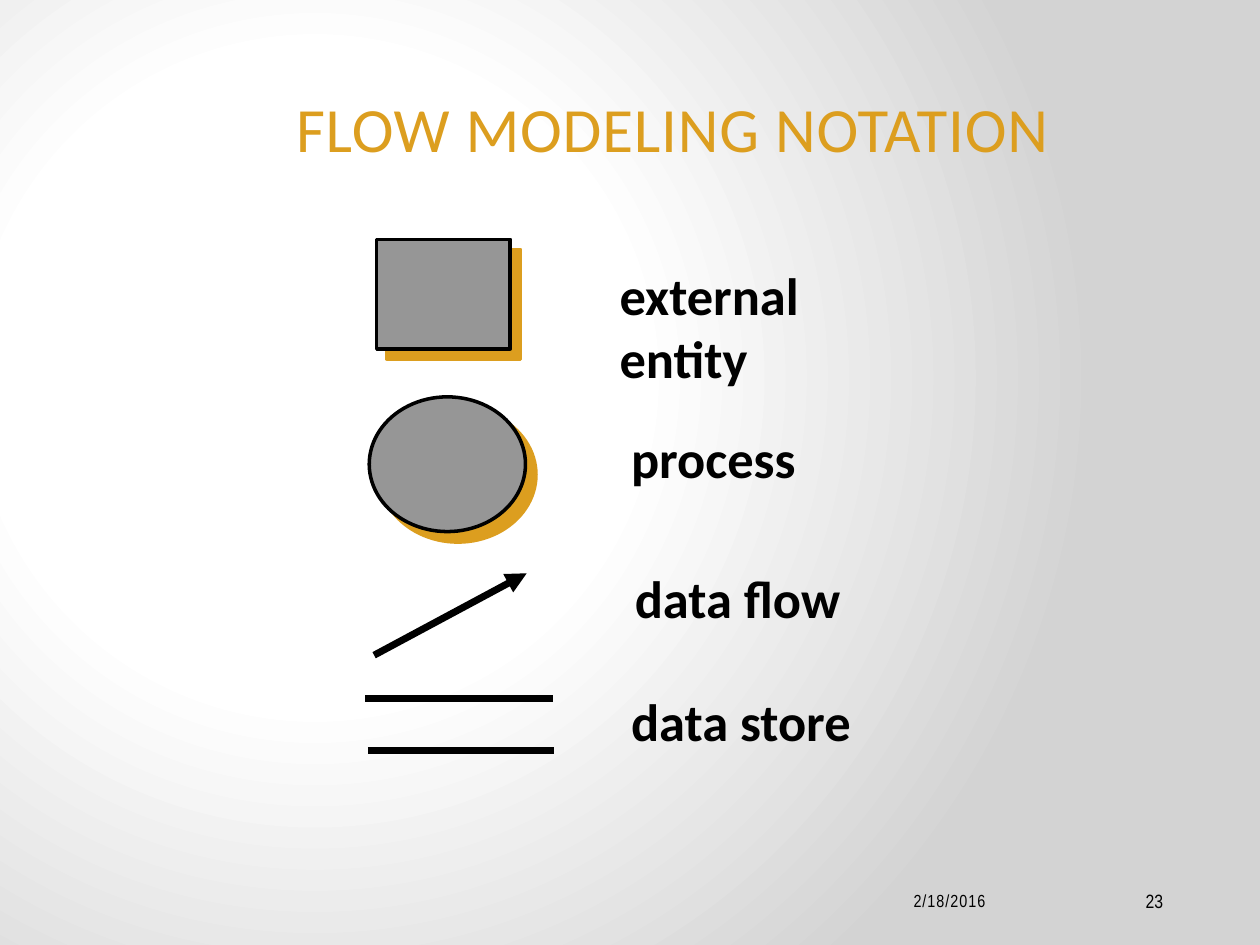
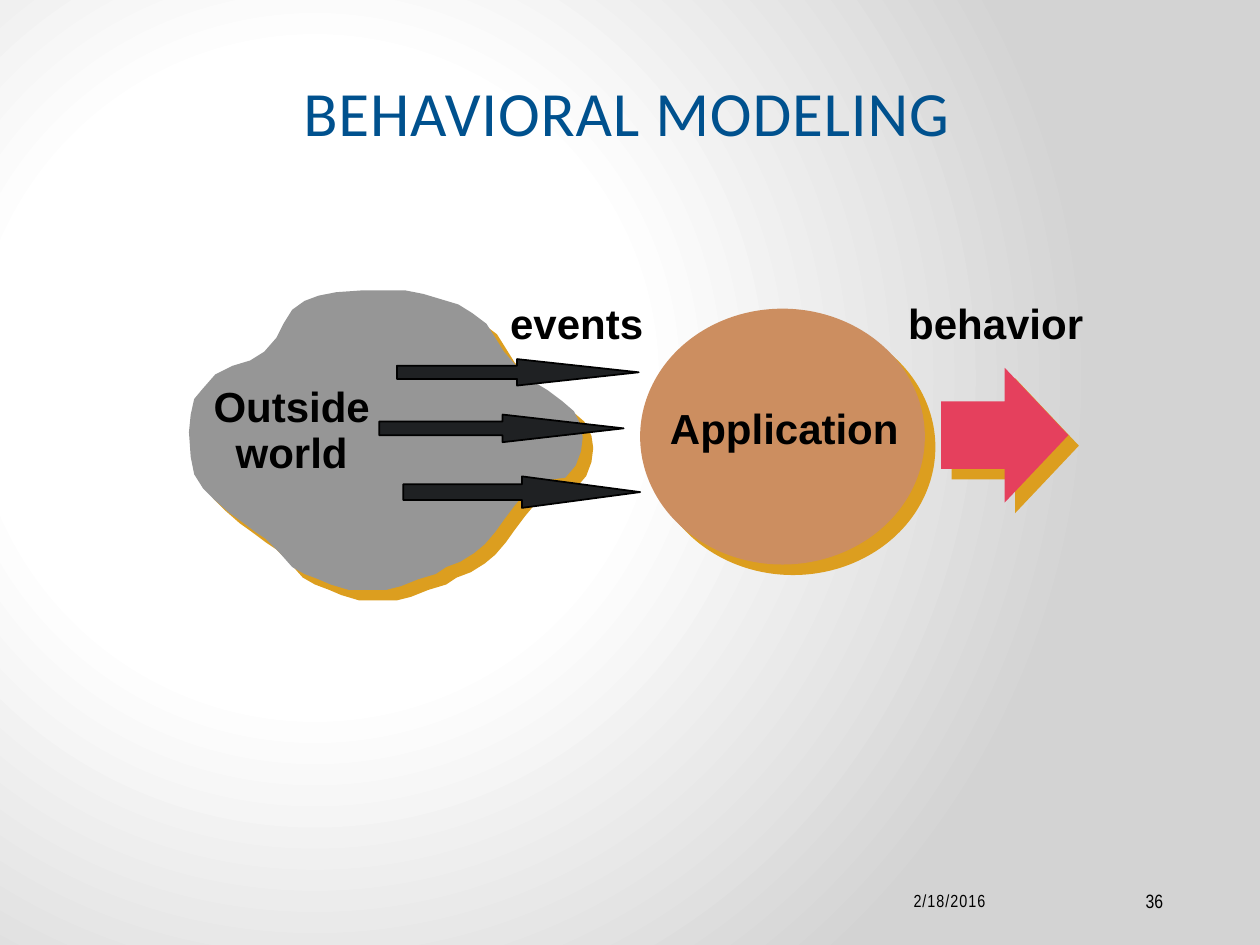
from dataclasses import dataclass

from lxml.etree import SubElement
from pptx import Presentation
from pptx.dml.color import RGBColor
from pptx.enum.shapes import MSO_CONNECTOR as Connector, MSO_SHAPE as Shape
from pptx.enum.text import MSO_ANCHOR as Anchor, PP_ALIGN as Align
from pptx.oxml import parse_xml
from pptx.oxml.ns import nsdecls, qn
from pptx.util import Pt


@dataclass(frozen=True)
class Theme:
    black: str = "000000"
    gold: str = "DC9E1F"
    blue: str = "00518E"
    gray: str = "969696"
    charcoal: str = "1F2123"
    tan: str = "CC8E60"
    red: str = "E5405D"
    background_stops: tuple = ((0, "FFFFFF"), (41, "FFFFFF"), (100, "D3D3D3"))
    title_size: float = 36
    notation_size: float = 30
    diagram_size: float = 24
    date_size: float = 10
    number_size: float = 11
    body_font: str = "Calibri"
    diagram_font: str = "Arial"
    footer_font: str = "Arial Narrow"
    shadow_distance: float = 8.5


THEME = Theme()

CLOUD_OUTLINE = [
    (206, 166), (192, 167), (182, 169), (174, 172), (167, 177), (162, 185),
    (158, 193), (151, 201), (143, 206), (133, 209), (123, 214), (116, 222),
    (111, 228), (109, 237), (108, 247), (109, 261), (111, 271), (116, 279),
    (123, 286), (131, 293), (138, 298), (146, 304), (152, 308), (159, 315),
    (167, 324), (174, 328), (182, 331), (189, 334), (199, 337), (221, 337),
    (229, 335), (239, 331), (249, 328), (255, 324), (263, 321), (271, 316),
    (277, 311), (283, 304), (288, 297), (294, 289), (299, 283), (307, 278),
    (315, 274), (323, 273), (329, 266), (332, 258), (333, 250), (332, 243),
    (328, 235), (321, 229), (313, 223), (303, 217), (295, 209), (288, 201),
    (283, 193), (278, 185), (270, 179), (262, 174), (252, 171), (242, 168),
    (232, 166),
]


def color(value):
    return RGBColor.from_string(value)


def set_background(slide):
    """Fill the slide with a circular gradient centred left of the middle."""
    stops = "".join(
        f'<a:gs pos="{position * 1000}"><a:srgbClr val="{value}"/></a:gs>'
        for position, value in THEME.background_stops
    )
    background = parse_xml(
        f'<p:bg {nsdecls("p", "a")}><p:bgPr><a:gradFill rotWithShape="1">'
        f'<a:gsLst>{stops}</a:gsLst><a:path path="circle">'
        '<a:fillToRect l="50000" t="80000" r="100000" b="100000"/></a:path>'
        '</a:gradFill><a:effectLst/></p:bgPr></p:bg>'
    )
    slide.element.find(qn("p:cSld")).insert(0, background)


def add_text(slide, box, lines, size, font, text_color=THEME.black, bold=False,
             align=Align.LEFT, anchor=Anchor.TOP, line_spacing=None, tracking=0):
    frame = slide.shapes.add_textbox(*map(Pt, box)).text_frame
    frame.word_wrap = True
    frame.vertical_anchor = anchor
    for index, line in enumerate(lines):
        paragraph = frame.add_paragraph() if index else frame.paragraphs[0]
        paragraph.alignment = align
        paragraph.line_spacing = line_spacing
        run = paragraph.add_run()
        run.text = line
        run.font.size = Pt(size)
        run.font.name = font
        run.font.bold = bold
        run.font.color.rgb = color(text_color)
        if tracking:
            run._r.get_or_add_rPr().set("spc", str(round(tracking * 100)))
    return frame


def add_notation_label(slide, box, *lines):
    add_text(slide, box, lines, THEME.notation_size, THEME.body_font, bold=True)


def add_diagram_label(slide, box, *lines, align=Align.LEFT):
    add_text(slide, box, lines, THEME.diagram_size, THEME.diagram_font,
             bold=True, align=align, line_spacing=0.9)


def style_shape(shape, fill, outline_width=0, shadow=True):
    shape.fill.solid()
    shape.fill.fore_color.rgb = color(fill)
    if outline_width:
        shape.line.color.rgb = color(THEME.black)
        shape.line.width = Pt(outline_width)
    else:
        shape.line.fill.background()
    shape.shadow.inherit = False
    if shadow:
        effects = shape.element.spPr.find(qn("a:effectLst"))
        outer = SubElement(effects, qn("a:outerShdw"), blurRad="0",
                           dist=str(Pt(THEME.shadow_distance)), dir="2700000",
                           algn="ctr", rotWithShape="0")
        SubElement(outer, qn("a:srgbClr"), val=THEME.gold)


def add_preset(slide, kind, box, fill, adjustments=(), **style):
    shape = slide.shapes.add_shape(kind, *map(Pt, box))
    for index, value in enumerate(adjustments):
        shape.adjustments[index] = value
    style_shape(shape, fill, **style)


def add_cloud(slide):
    builder = slide.shapes.build_freeform(*CLOUD_OUTLINE[0], scale=Pt(1))
    builder.add_line_segments(CLOUD_OUTLINE[1:], close=True)
    style_shape(builder.convert_to_shape(), THEME.gray)


def add_line(slide, start, end, arrow=False):
    connector = slide.shapes.add_connector(
        Connector.STRAIGHT, *map(Pt, (*start, *end)))
    connector.line.color.rgb = color(THEME.black)
    connector.line.width = Pt(4)
    properties = connector.element.spPr
    if arrow:
        SubElement(properties.find(qn("a:ln")), qn("a:tailEnd"), type="triangle")
    SubElement(properties, qn("a:effectLst"))


def start_slide(presentation, title, title_box, title_color, number):
    """Add a blank slide with the shared background, title style and footer."""
    slide = presentation.slides.add_slide(presentation.slide_layouts[6])
    set_background(slide)
    add_text(slide, title_box, [title], THEME.title_size, THEME.body_font,
             title_color, align=Align.CENTER, anchor=Anchor.BOTTOM, tracking=0.5)
    add_text(slide, (450, 500.4, 120.2, 28.8), ["2/18/2016"], THEME.date_size,
             THEME.footer_font, align=Align.RIGHT, anchor=Anchor.MIDDLE,
             tracking=0.6)
    add_text(slide, (594, 500.4, 77.8, 28.8), [number], THEME.number_size,
             THEME.footer_font, align=Align.RIGHT, anchor=Anchor.MIDDLE)
    return slide


def build_flow_notation(presentation):
    slide = start_slide(presentation, "FLOW MODELING NOTATION",
                        (123, 77.8, 522.7, 20.2), THEME.gold, "23")
    add_preset(slide, Shape.RECTANGLE, (215.3, 136.8, 76.3, 62.6),
               THEME.gray, outline_width=2)
    add_preset(slide, Shape.OVAL, (211, 226.8, 89.3, 77),
               THEME.gray, outline_width=2)
    add_line(slide, (213.8, 374.4), (301, 327.6), arrow=True)
    add_line(slide, (208.8, 398.9), (316, 398.9))
    add_line(slide, (210.2, 429.1), (316.8, 429.1))
    add_notation_label(slide, (347, 146.9, 194.4, 43.2), "external", "entity")
    add_notation_label(slide, (353.5, 239.8, 112, 43.2), "process")
    add_notation_label(slide, (355.7, 319.7, 140, 43.2), "data flow")
    add_notation_label(slide, (353.5, 390.2, 145, 43.2), "data store")


def build_behavioral_modeling(presentation):
    slide = start_slide(presentation, "BEHAVIORAL MODELING",
                        (105.8, 68.4, 504.7, 20.2), THEME.blue, "36")
    add_preset(slide, Shape.RIGHT_ARROW, (537.8, 210.2, 72.7, 77), THEME.red)
    add_cloud(slide)
    add_diagram_label(slide, (113.5, 217.4, 106.4, 59.8), "Outside", "world",
                      align=Align.CENTER)
    event_arrows = [
        ((226.8, 205.2, 138.2, 15.1), 4.6),
        ((216.7, 236.9, 139.7, 15.8), 4.38),
        ((230.4, 272.2, 135.4, 18), 3.75),
    ]
    for box, head_length in event_arrows:
        add_preset(slide, Shape.RIGHT_ARROW, box, THEME.charcoal,
                   (0.5, head_length), outline_width=1, shadow=False)
    add_preset(slide, Shape.OVAL, (365.8, 176.4, 162.7, 146.2), THEME.tan)
    add_diagram_label(slide, (375.8, 229.7, 150, 33.1), "Application")
    add_diagram_label(slide, (284.4, 169.9, 95, 33.1), "events")
    add_diagram_label(slide, (511.9, 169.9, 119, 33.1), "behavior")


def main():
    presentation = Presentation()
    presentation.slide_width = Pt(720)
    presentation.slide_height = Pt(540)
    build_flow_notation(presentation)
    build_behavioral_modeling(presentation)
    presentation.save("out.pptx")


if __name__ == "__main__":
    main()
